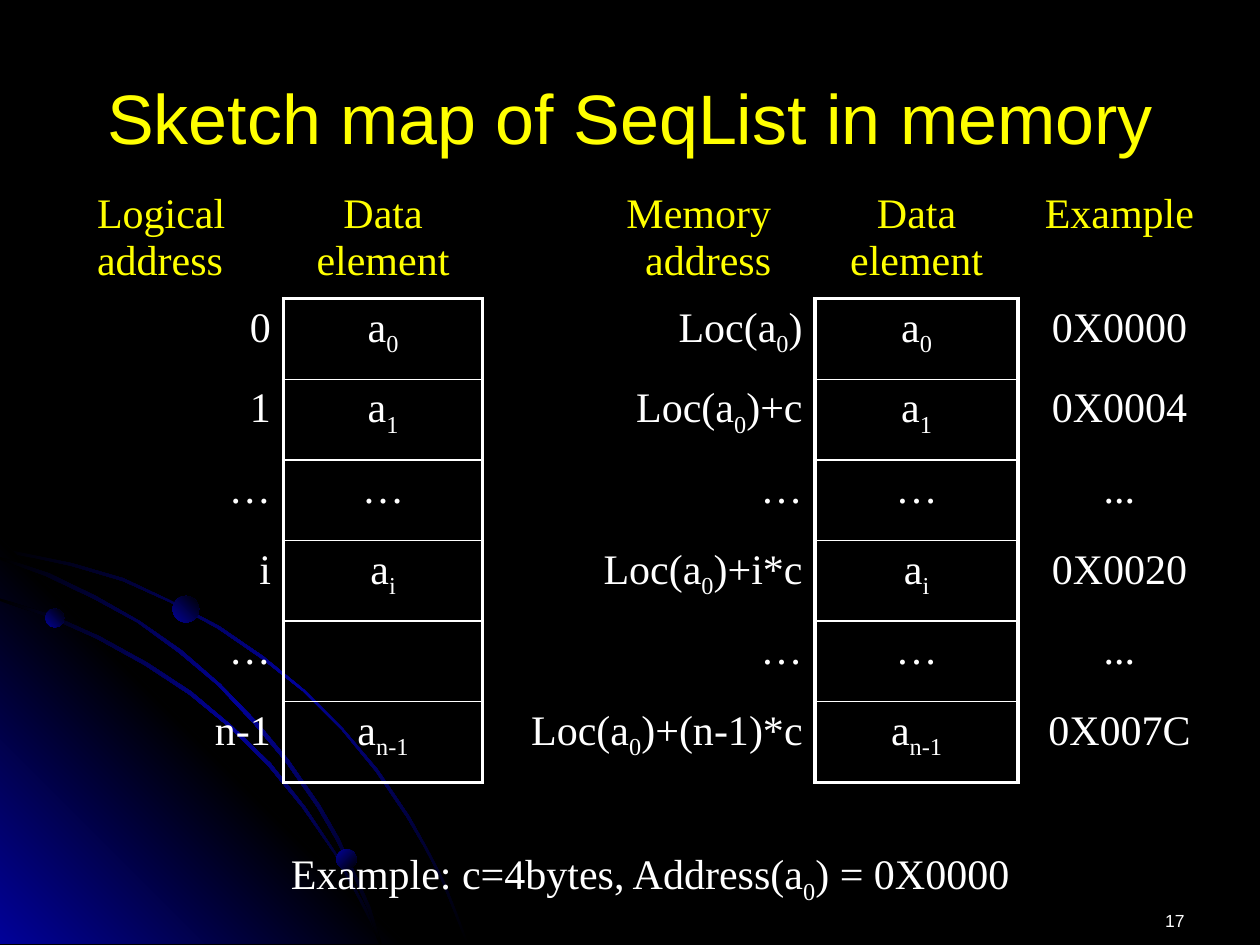
import pptx
import pptx.dml.color
import pptx.enum.text
import pptx.enum.shapes
import pptx.oxml
import pptx.oxml.ns
import pptx.util
from pptx.util import Inches, Pt

HUE = {"black": "000000", "blue": "010199", "white": "FFFFFF", "gold": "FFFF00"}
SERIF, SANS = "Times New Roman", "Arial"
ALIGN = pptx.enum.text.PP_ALIGN
LEFT, MID, RIGHT = ALIGN.LEFT, ALIGN.CENTER, ALIGN.RIGHT

# Content: "|" switches subscript on and off, a new line starts a paragraph
TITLE = "Sketch map of SeqList in memory"
NOTE = "Example: c=4bytes, Address(a|0|) = 0X0000"
ROWS = [
    ["Logical address", "Data element", "Memory\naddress", "Data element", "Example"],
    ["0", "a|0", "Loc(a|0|)", "a|0", "0X0000"],
    ["1", "a|1", "Loc(a|0|)+c", "a|1", "0X0004"],
    ["…", "…", "…", "…", "..."],
    ["i", "a|i", "Loc(a|0|)+i*c", "a|i", "0X0020"],
    ["…", "", "…", "…", "..."],
    ["n-1", "a|n-1", "Loc(a|0|)+(n-1)*c", "a|n-1", "0X007C"],
]
WIDTHS = [1.58, 1.58, 2.64, 1.61, 1.61]
HEAD, STEP = 0.9, 0.64
BOXED = (1, 3)
SIDES = [RIGHT, MID, RIGHT, MID, MID]

# Backdrop: outlines in inches
WEDGE = [(3.22, 7.49), (0, 7.49), (0, 4.27)]
OUTER = [
    (0, 4.35), (0.28, 4.41), (0.57, 4.47), (0.98, 4.59), (1.36, 4.77), (1.74, 4.97),
    (2.09, 5.21), (2.42, 5.48), (2.72, 5.78), (3, 6.11), (3.25, 6.48), (3.39, 6.73),
    (3.52, 6.98), (3.62, 7.23), (3.72, 7.49), (3.7, 7.49), (3.6, 7.23), (3.5, 6.98),
    (3.37, 6.73), (3.23, 6.49), (2.98, 6.12), (2.71, 5.79), (2.41, 5.49), (2.08, 5.23),
    (1.73, 4.99), (1.35, 4.78), (0.97, 4.61), (0.56, 4.49), (0.28, 4.43), (0, 4.38),
]
INNER = [
    (0, 4.75), (0.41, 4.88), (0.79, 5.05), (1.17, 5.26), (1.52, 5.49), (1.84, 5.76),
    (2.15, 6.06), (2.42, 6.4), (2.66, 6.76), (2.86, 7.12), (2.96, 7.3), (3.03, 7.49),
    (3.01, 7.49), (2.94, 7.32), (2.85, 7.14), (2.65, 6.77), (2.4, 6.41), (2.13, 6.08),
    (1.83, 5.78), (1.5, 5.51), (1.15, 5.28), (0.77, 5.07), (0.39, 4.9), (0, 4.77),
]
MIDDLE = [
    (0, 4.42), (0.39, 4.55), (0.76, 4.73), (1.11, 4.93), (1.44, 5.16), (1.75, 5.43),
    (2.04, 5.73), (2.29, 6.03), (2.54, 6.39), (2.69, 6.65), (2.82, 6.93), (2.94, 7.2),
    (3.03, 7.49), (3.01, 7.49), (2.92, 7.22), (2.8, 6.94), (2.67, 6.67), (2.52, 6.41),
    (2.27, 6.05), (2.02, 5.75), (1.73, 5.44), (1.42, 5.18), (1.09, 4.94), (0.74, 4.75),
    (0.36, 4.57), (0, 4.44),
]
GLOW = ["black", "blue", "black"]
CURVES = [(OUTER, GLOW, 45), (WEDGE, ["blue", "black", "blue"], 315),
          (INNER, GLOW, 45), (MIDDLE, GLOW, 45)]
DOTS = [(0.36, 4.83, 0.15, 315), (2.67, 6.74, 0.16, 45), (1.37, 4.73, 0.21, 315)]


def shade(shape, tones, angle):
    """Fill a shape with evenly spaced gradient stops and no outline."""
    stops = "".join(
        f'<a:gs pos="{100000 * n // (len(tones) - 1)}"><a:srgbClr val="{HUE[tone]}"/></a:gs>'
        for n, tone in enumerate(tones))
    shape.fill.background()
    old = shape._element.spPr.find(pptx.oxml.ns.qn("a:noFill"))
    new = pptx.oxml.parse_xml(
        f'<a:gradFill {pptx.oxml.ns.nsdecls("a")}><a:gsLst>{stops}</a:gsLst>'
        f'<a:lin ang="{angle * 60000}" scaled="1"/></a:gradFill>')
    old.getparent().replace(old, new)
    shape.line.fill.background()
    shape.shadow.inherit = False


def write(frame, text, size, face, hue, align, before=0):
    for n, line in enumerate(text.split("\n")):
        para = frame.add_paragraph() if n else frame.paragraphs[0]
        para.alignment = align
        para.space_before = Pt(0 if n else before)
        para.font.size, para.font.name = Pt(size), face
        para.font.color.rgb = pptx.dml.color.RGBColor.from_string(HUE[hue])
        for k, part in enumerate(line.split("|")):
            if part:
                run = para.add_run()
                run.text = part
                if k % 2:
                    run._r.get_or_add_rPr().set("baseline", "-25000")


def label(slide, box, *style):
    frame = slide.shapes.add_textbox(*map(Inches, box)).text_frame
    frame.word_wrap = True
    write(frame, *style)
    return frame


def edge(cell, side, width):
    """Draw one cell border; a width of 0 leaves it off."""
    paint = f'<a:solidFill><a:srgbClr val="{HUE["white"]}"/></a:solidFill>' if width else "<a:noFill/>"
    cell._tc.get_or_add_tcPr().append(pptx.oxml.parse_xml(
        f'<a:ln{side} {pptx.oxml.ns.nsdecls("a")} w="{int(Pt(width))}">{paint}</a:ln{side}>'))


def borders(row, col):
    """Widths for the L, R, T and B borders of a cell."""
    last = len(ROWS) - 1
    if col in BOXED:
        if row == 0:
            return 0, 0, 0, 2.25
        return 2.25, 2.25, 2.25 if row == 1 else 1, 2.25 if row == last else 1
    return (2.25 if row and col - 1 in BOXED else 0,
            2.25 if row and col + 1 in BOXED else 0, 0, 0)


def main():
    deck = pptx.Presentation()
    deck.slide_width, deck.slide_height = Inches(10), Inches(7.5)
    slide = deck.slides.add_slide(deck.slide_layouts[6])
    back = slide.background.fill
    back.solid()
    back.fore_color.rgb = pptx.dml.color.RGBColor.from_string(HUE["black"])

    # Backdrop
    for points, tones, angle in CURVES:
        spots = [(Inches(x), Inches(y)) for x, y in points]
        pen = slide.shapes.build_freeform(*spots[0])
        pen.add_line_segments(spots[1:], close=True)
        shade(pen.convert_to_shape(), tones, angle)
    for x, y, size, angle in DOTS:
        dot = slide.shapes.add_shape(pptx.enum.shapes.MSO_SHAPE.OVAL,
                                     *map(Inches, (x, y, size, size)))
        shade(dot, ["blue", "black"], angle)

    # Slide number
    frame = label(slide, (7.17, 7.01, 2.33, 0.5), "17", 10, SANS, "white", RIGHT)
    frame.margin_top = Inches(0.21)

    # Memory table
    high = HEAD + STEP * (len(ROWS) - 1)
    table = slide.shapes.add_table(len(ROWS), len(WIDTHS), Inches(0.67), Inches(1.47),
                                   Inches(sum(WIDTHS)), Inches(high)).table
    table.first_row = table.horz_banding = False
    for col, width in enumerate(WIDTHS):
        table.columns[col].width = Inches(width)
    for r, texts in enumerate(ROWS):
        table.rows[r].height = Inches(STEP if r else HEAD)
        for c, text in enumerate(texts):
            cell = table.cell(r, c)
            for side, width in zip("LRTB", borders(r, c)):
                edge(cell, side, width)
            cell.fill.background()
            align = LEFT if r == c == 0 else SIDES[c]
            write(cell.text_frame, text, 24, SERIF, "white" if r else "gold", align, 4.8)
    # "Memory" stands in from the right edge of its column
    para = table.cell(0, 2).text_frame.paragraphs[0]
    para._p.get_or_add_pPr().set("marR", str(Inches(0.25)))

    # Title and note
    frame = label(slide, (0.5, 0.3, 9, 1.25), TITLE, 40, SANS, "gold", MID)
    frame.vertical_anchor = pptx.enum.text.MSO_ANCHOR.MIDDLE
    frame = label(slide, (2.21, 6.68, 5.93, 0.5), NOTE, 24, SERIF, "white", LEFT)
    frame.word_wrap = False
    frame.auto_size = pptx.enum.text.MSO_AUTO_SIZE.SHAPE_TO_FIT_TEXT

    deck.save("out.pptx")


if __name__ == "__main__":
    main()
